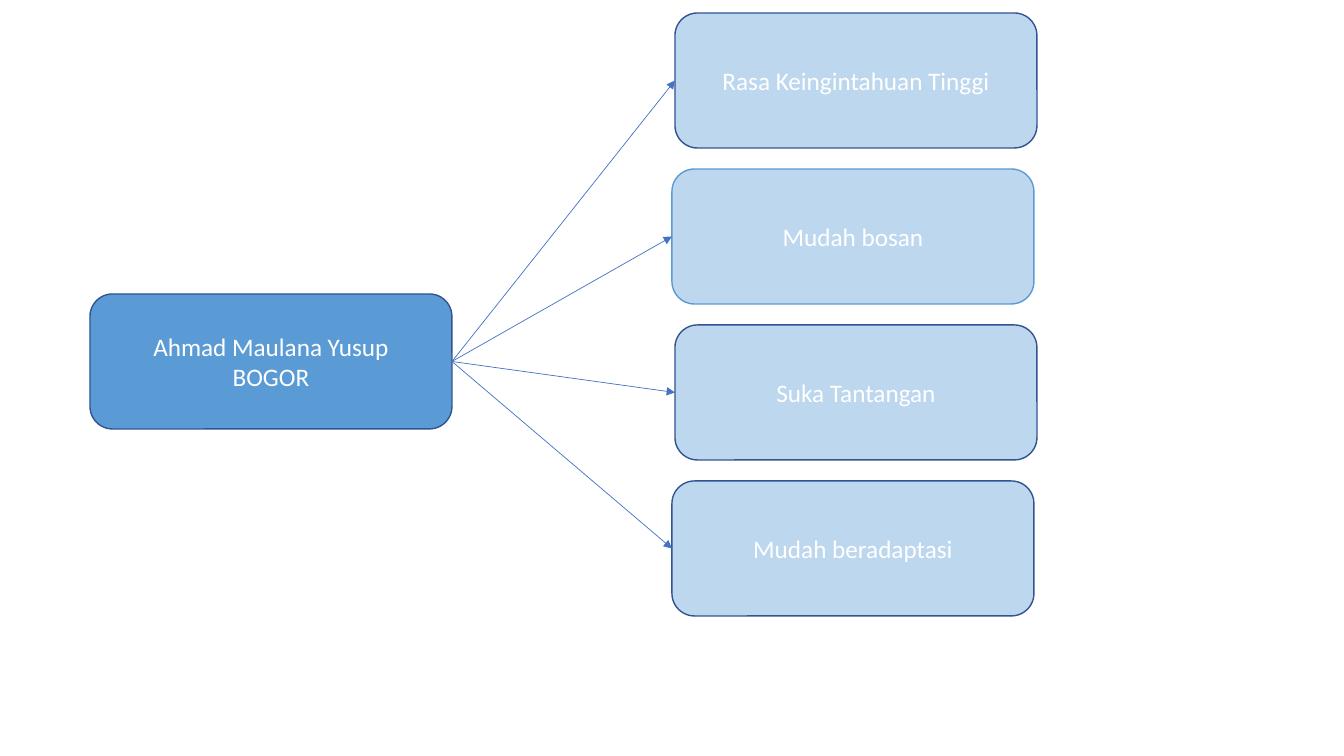
from pptx import Presentation
from pptx import util as u
from pptx.dml.color import RGBColor
from pptx.enum import shapes, text
from pptx.oxml.ns import qn
from lxml import etree

PX = 12192000 / 1344
BOX_W, BOX_H = 362, 135
PITCH = 156
NAVY, BLUE, PALE, ARROW = "325491", "5B9BD5", "BDD7EE", "4472C4"
TRAITS = [
    ("Rasa Keingintahuan Tinggi", 675, NAVY),
    ("Mudah bosan", 672, BLUE),
    ("Suka Tantangan", 675, NAVY),
    ("Mudah beradaptasi", 672, NAVY),
]


def px(n):
    """Turn px into EMU."""
    return u.Emu(round(n * PX))


def rgb(value):
    """Turn a hex string into a colour."""
    return RGBColor.from_string(value)


def add_box(s, x, y, lines, fill, line):
    """Add a rounded box with centred lines of text."""
    sp = s.shapes.add_shape(shapes.MSO_SHAPE.ROUNDED_RECTANGLE,
                            px(x), px(y), px(BOX_W), px(BOX_H))
    sp.shadow.inherit = False
    sp.fill.solid()
    sp.fill.fore_color.rgb = rgb(fill)
    sp.line.color.rgb = rgb(line)
    sp.line.width = u.Pt(1)
    tf = sp.text_frame
    tf.word_wrap = True
    tf.vertical_anchor = text.MSO_ANCHOR.MIDDLE
    for i, line_text in enumerate(lines):
        p = tf.add_paragraph() if i else tf.paragraphs[0]
        p.alignment = text.PP_ALIGN.CENTER
        r = p.add_run()
        r.text = line_text
        r.font.name = "Calibri"
        r.font.size = u.Pt(18)
        r.font.color.rgb = rgb("FFFFFF")
    return sp


def add_arrow(s, source, target):
    """Join the right side of one box to the left side of another."""
    c = s.shapes.add_connector(shapes.MSO_CONNECTOR.STRAIGHT, 0, 0, 0, 0)
    c.begin_connect(source, 3)
    c.end_connect(target, 1)
    c.line.color.rgb = rgb(ARROW)
    c.line.width = u.Pt(0.5)
    etree.SubElement(c.line._get_or_add_ln(), qn("a:tailEnd"), type="triangle")
    etree.SubElement(c._element.spPr, qn("a:effectLst"))


def add_traits(s, person, top):
    """Stack the trait boxes from the top and point the person to each."""
    for i, (label, x, line) in enumerate(TRAITS):
        trait = add_box(s, x, top + i * PITCH, [label], PALE, line)
        add_arrow(s, person, trait)


def main():
    """Build and save the slide."""
    prs = Presentation()
    prs.slide_width, prs.slide_height = px(1344), px(756)
    s = prs.slides.add_slide(prs.slide_layouts[6])
    person = add_box(s, 90, 294, ["Ahmad Maulana Yusup", "BOGOR"], BLUE, NAVY)
    add_traits(s, person, 13)
    prs.save("out.pptx")


if __name__ == "__main__":
    main()
